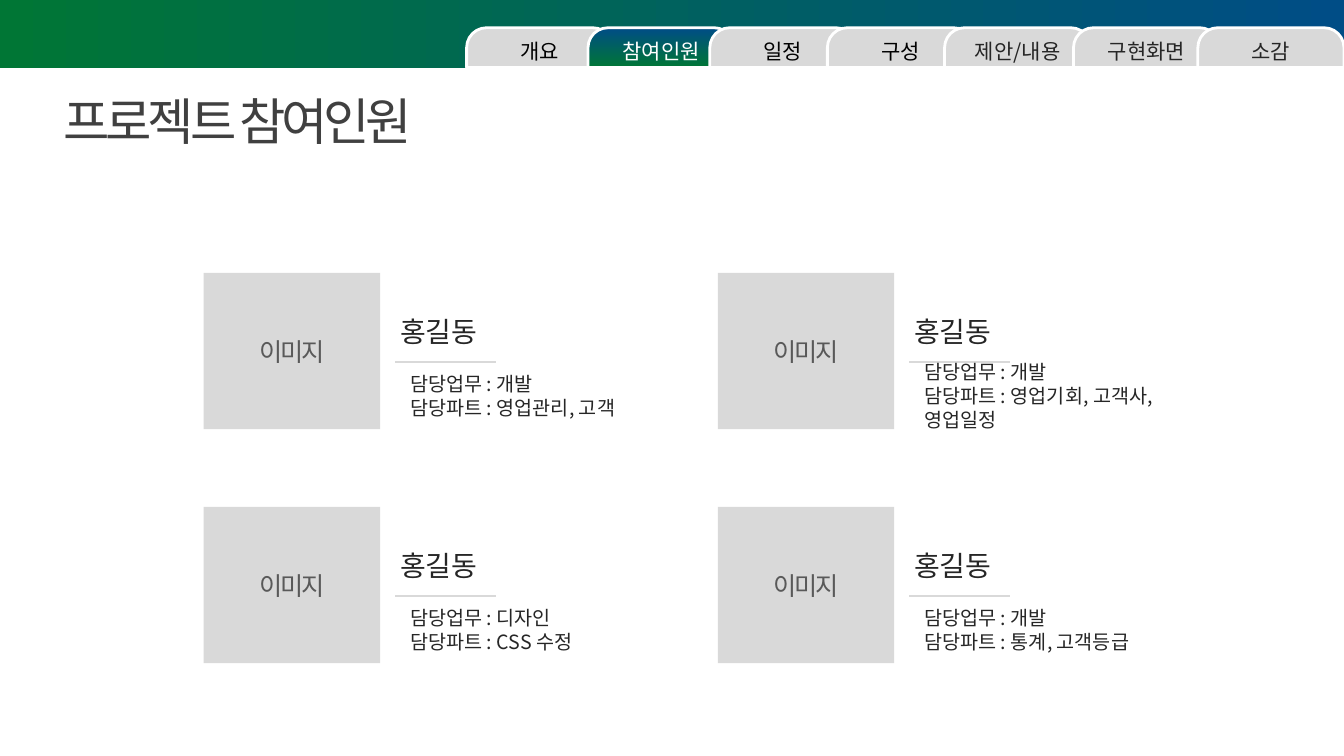
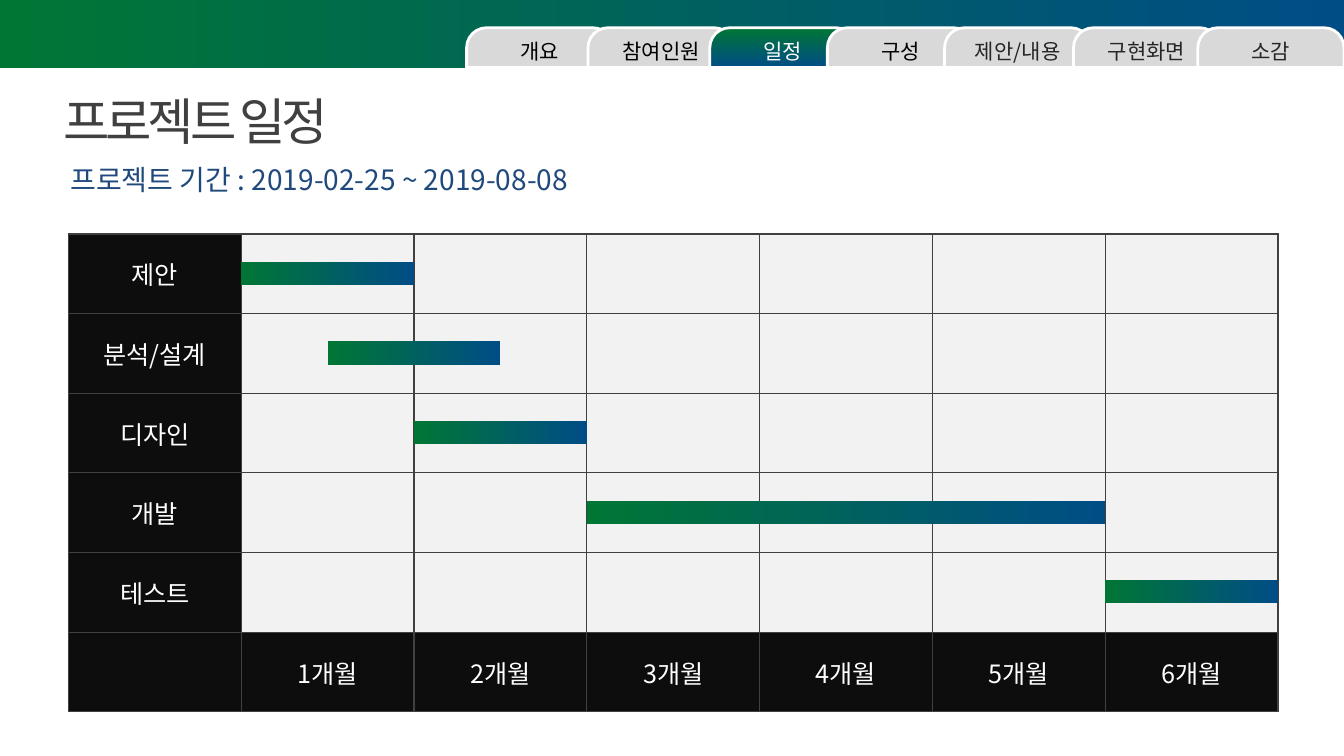
import pptx
import pptx.util
import pptx.dml.color
import pptx.enum.shapes
import pptx.enum.text
import pptx.oxml
import pptx.oxml.ns

Pt = pptx.util.Pt
SHAPE = pptx.enum.shapes.MSO_SHAPE
ALIGN = pptx.enum.text.PP_ALIGN
ANCHOR = pptx.enum.text.MSO_ANCHOR
qn = pptx.oxml.ns.qn

FONT = "Noto Sans CJK KR"
COLS, ROWS = 160, 90
UNIT = pptx.util.Inches(7.5) // ROWS
HUES = {
    "green": "007635", "blue": "004D86", "navy": "1F497D",
    "white": "FFFFFF", "black": "000000", "coal": "0D0D0D",
    "ink": "262626", "title": "404040", "label": "595959",
    "gray": "D9D9D9", "pale": "F2F2F2",
}

BAND = (0, 0, COLS, 8.05)
TITLE = (6.4, 10.1, 60, 8.5)
TABS = [
    ("개요", 55.55, "black"), ("참여인원", 70, "black"),
    ("일정", 84.5, "black"), ("구성", 98.5, "black"),
    ("제안/내용", 112.45, "ink"), ("구현화면", 127.8, "ink"),
    ("소감", 142.6, "ink"),
]
PEOPLE = [
    ("홍길동", "담당업무 : 개발", "담당파트 : 영업관리, 고객"),
    ("홍길동", "담당업무 : 개발", "담당파트 : 영업기회, 고객사, 영업일정"),
    ("홍길동", "담당업무 : 디자인", "담당파트 : CSS 수정"),
    ("홍길동", "담당업무 : 개발", "담당파트 : 통계, 고객등급"),
]
# stage, first month, length in months
STAGES = [
    ("제안", 0, 1), ("분석/설계", 0.5, 1), ("디자인", 1, 1),
    ("개발", 2, 3), ("테스트", 5, 1),
]
MONTHS = 6


def grid(*cells):
    """Turn grid columns and rows into slide lengths."""
    return [round(n * UNIT) for n in cells]


def hue(name):
    return pptx.dml.color.RGBColor.from_string(HUES[name])


def write(frame, text, size=18, color="ink", align=ALIGN.LEFT,
          anchor=ANCHOR.MIDDLE, wrap=True, gap=0):
    """Fill a text frame, one paragraph a line; gap is letter spacing."""
    frame.word_wrap = wrap
    frame.vertical_anchor = anchor
    for i, line in enumerate(text.split("\n")):
        para = frame.paragraphs[0] if i == 0 else frame.add_paragraph()
        para.alignment = align
        run = para.add_run()
        run.text = line
        run.font.size = Pt(size)
        run.font.name = FONT
        run.font.color.rgb = hue(color)
        props = run.font._element
        props.get_or_add_latin().addnext(pptx.oxml.parse_xml(
            f'<a:ea {pptx.oxml.ns.nsdecls("a")} typeface="{FONT}"/>'))
        if gap:
            props.set("spc", str(round(gap * 100)))


def label(slide, box, text, **style):
    area = slide.shapes.add_textbox(*grid(*box))
    write(area.text_frame, text, **style)


def block(slide, box, fill=None, angle=0, kind=SHAPE.RECTANGLE):
    """Add a shape with a plain fill, or with the gradient if none is given."""
    shape = slide.shapes.add_shape(kind, *grid(*box))
    shape.shadow.inherit = False
    shape.line.fill.background()
    if fill:
        shape.fill.solid()
        shape.fill.fore_color.rgb = hue(fill)
    else:
        shape.fill.gradient()
        shape.fill.gradient_angle = angle
        for stop, name, spot in zip(shape.fill.gradient_stops,
                                    ("green", "blue"), (0, 1)):
            stop.color.rgb = hue(name)
            stop.position = spot
    return shape


def rule(slide, x, y, width):
    line = slide.shapes.add_connector(
        pptx.enum.shapes.MSO_CONNECTOR.STRAIGHT, *grid(x, y, x + width, y))
    line.line.color.rgb = hue("gray")
    line.line.width = Pt(1)
    line._element.spPr.append(pptx.oxml.parse_xml(
        f'<a:effectLst {pptx.oxml.ns.nsdecls("a")}/>'))


def tabs(slide, active, angle):
    for name, left, color in TABS:
        here = name == active
        tab = block(slide, (left, 3.3, 17.4, 4.75), None if here else "gray",
                    angle, SHAPE.ROUND_2_SAME_RECTANGLE)
        tab.adjustments[0], tab.adjustments[1] = 0.5, 0
        tab.line.color.rgb = hue("white")
        tab.line.width = Pt(2)
        write(tab.text_frame, name, size=15, align=ALIGN.CENTER,
              color="white" if here else color)


def page(deck, title, active, angle):
    slide = deck.slides.add_slide(deck.slide_layouts[6])
    block(slide, BAND)
    tabs(slide, active, angle)
    label(slide, TITLE, title, size=36, color="title",
          anchor=ANCHOR.TOP, wrap=False, gap=-3)
    return slide


def card(slide, box, name, job, part):
    x, y, wide, high = box
    photo = block(slide, (x, y, wide * 0.35, high), "gray")
    write(photo.text_frame, "이미지", color="label",
          align=ALIGN.CENTER, gap=-1.5)
    label(slide, (x + wide * 0.37, y + high * 0.26, wide * 0.36, high * 0.23),
          name, size=20)
    rule(slide, x + wide * 0.38, y + high * 0.57, wide * 0.2)
    label(slide, (x + wide * 0.39, y + high * 0.67, wide * 0.6, high * 0.23),
          f"{job}\n{part}", size=14)


def team(slide, box):
    x, y, wide, high = box
    for i, person in enumerate(PEOPLE):
        row, col = divmod(i, 2)
        spot = (x + col * (wide - 60), y + row * (high - 18.6), 60, 18.6)
        card(slide, spot, *person)


def edge(cell):
    """Draw the four borders of a table cell."""
    props = cell._tc.get_or_add_tcPr()
    for i, side in enumerate("LRTB"):
        props.insert(i, pptx.oxml.parse_xml(
            f'<a:ln{side} {pptx.oxml.ns.nsdecls("a")} w="{Pt(1)}">'
            f'<a:solidFill><a:srgbClr val="{HUES["title"]}"/></a:solidFill>'
            f'</a:ln{side}>'))


def plan(slide, box):
    """Draw the schedule table with its bars."""
    x, y, wide, high = box
    count = len(STAGES)
    step, rise = wide / (MONTHS + 1), high / (count + 1)
    table = slide.shapes.add_table(count + 1, MONTHS + 1, *grid(*box)).table
    table.first_row = table.horz_banding = False
    for r in range(count + 1):
        for c in range(MONTHS + 1):
            cell = table.cell(r, c)
            head = c == 0 or r == count
            cell.fill.solid()
            cell.fill.fore_color.rgb = hue("coal" if head else "pale")
            edge(cell)
            text = f"{c}개월" if r == count else STAGES[r][0]
            if head and (r < count or c > 0):
                write(cell.text_frame, text, color="white", align=ALIGN.CENTER)
                cell.vertical_anchor = ANCHOR.MIDDLE
    for r, (_, start, span) in enumerate(STAGES):
        block(slide, (x + (start + 1) * step, y + (r + 0.35) * rise,
                      span * step, rise * 0.29))


def main():
    deck = pptx.Presentation()
    deck.slide_width, deck.slide_height = grid(COLS, ROWS)

    people = page(deck, "프로젝트 참여인원", "참여인원", 90)
    team(people, (24.25, 32.5, 121.2, 46.45))

    dates = page(deck, "프로젝트 일정", "일정", 270)
    label(dates, (7.2, 19.4, 101.5, 4),
          "프로젝트 기간 : 2019-02-25 ~ 2019-08-08", size=20, color="navy")
    plan(dates, (8.15, 27.85, 144, 56.9))

    deck.save("out.pptx")


if __name__ == "__main__":
    main()
